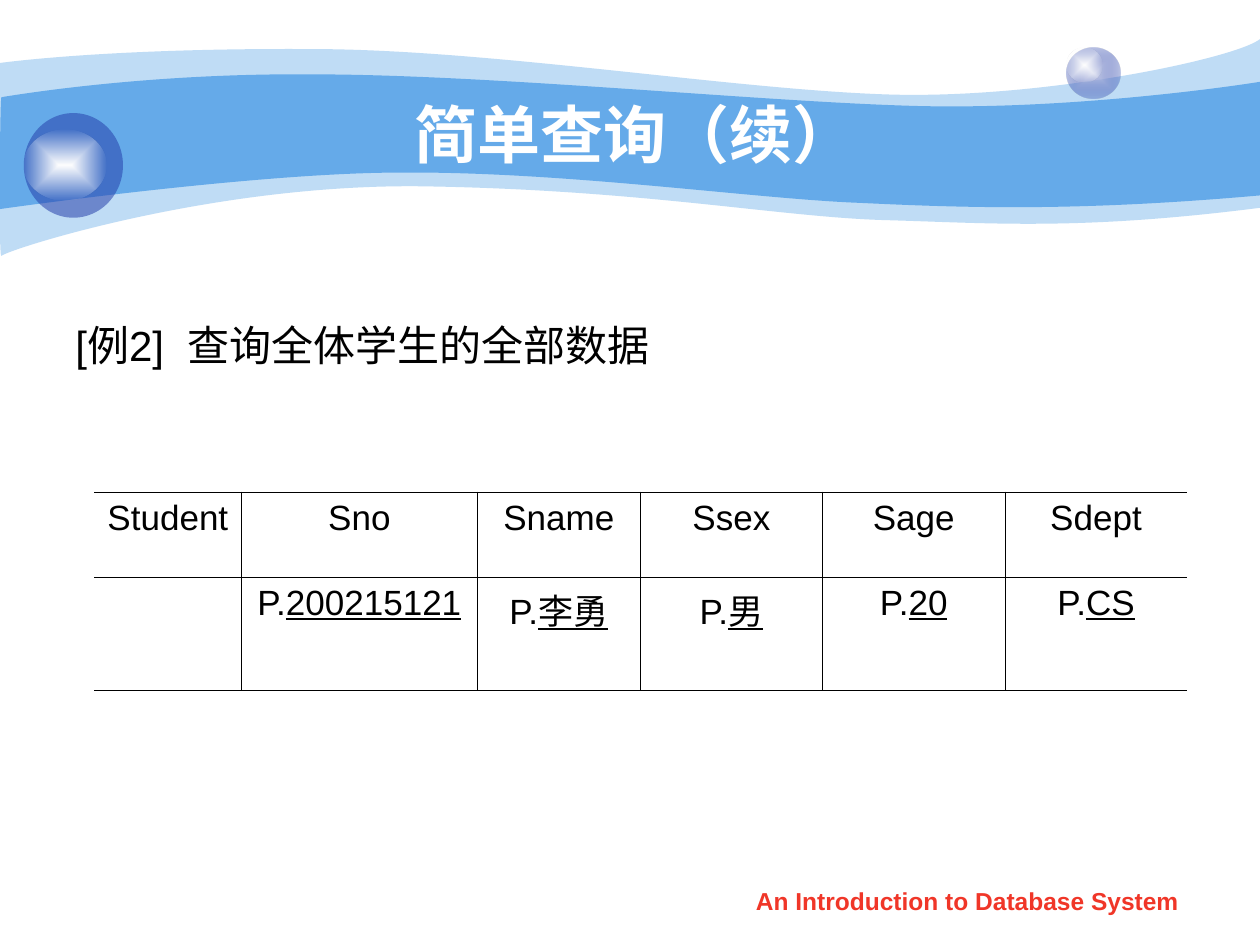
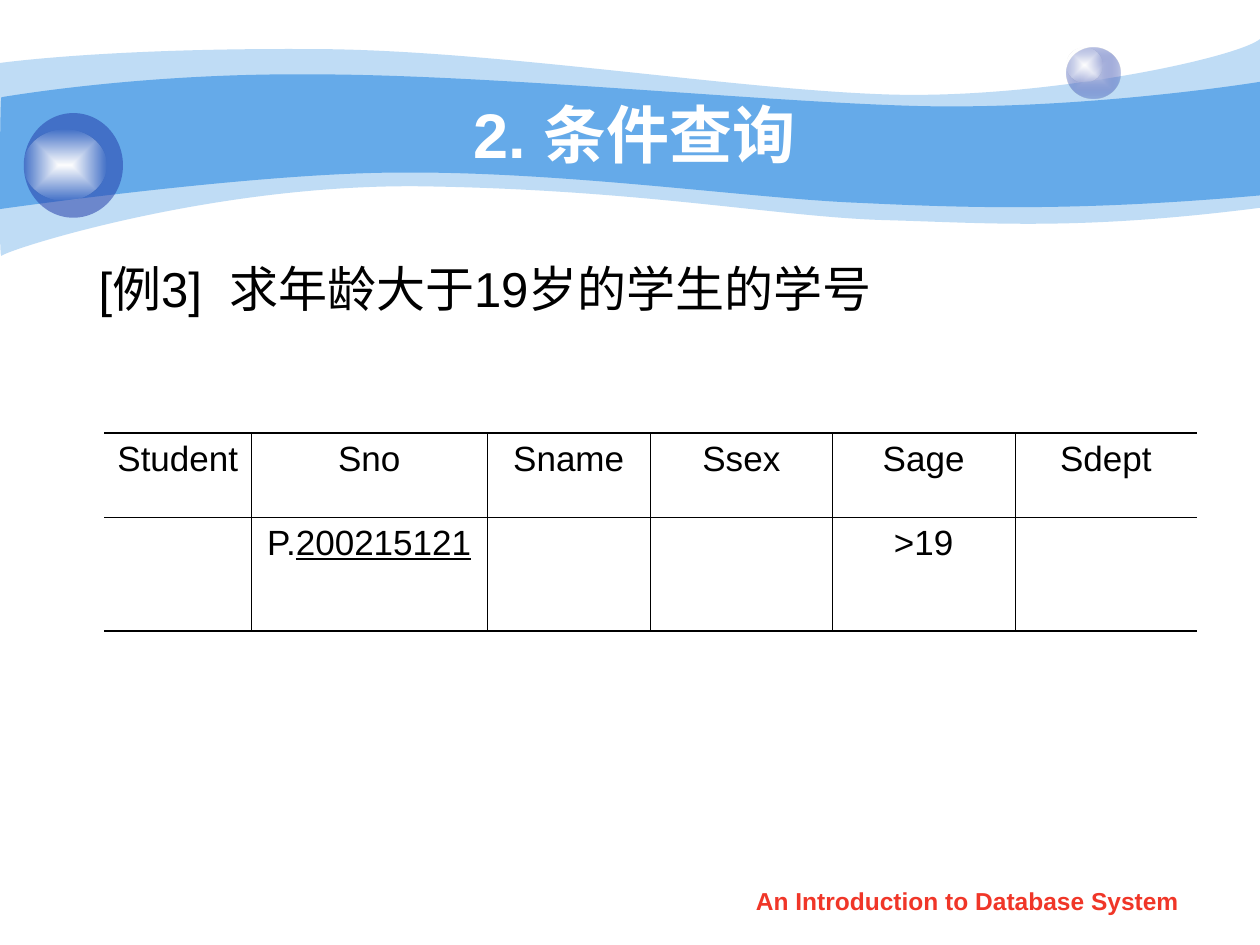
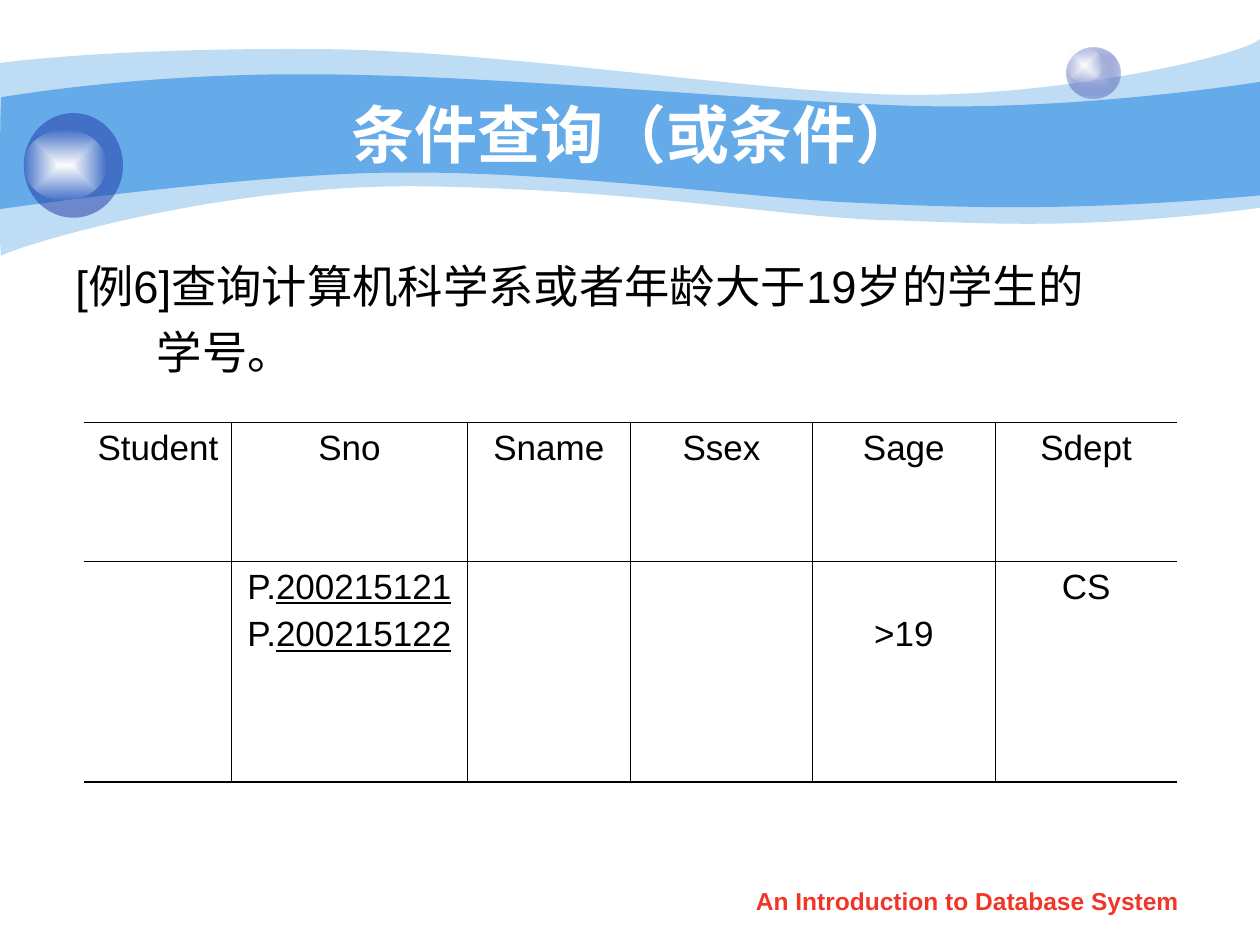
from dataclasses import dataclass

import lxml.etree
import pptx
import pptx.dml.color
import pptx.enum.shapes
import pptx.enum.text
import pptx.oxml.ns
import pptx.util

Cm = pptx.util.Cm
Pt = pptx.util.Pt
RGBColor = pptx.dml.color.RGBColor
Align = pptx.enum.text.PP_ALIGN
qn = pptx.oxml.ns.qn

WHITE = RGBColor(0xFF, 0xFF, 0xFF)
NEAR_WHITE = RGBColor(0xFE, 0xFE, 0xFE)
BLACK = RGBColor(0, 0, 0)
SKY = RGBColor(0x65, 0xAA, 0xE9)
NAVY = RGBColor(0x23, 0x3D, 0xA9)
LILAC = RGBColor(0xC6, 0xCC, 0xE8)
RED = RGBColor(0xF0, 0x36, 0x28)

FONT = "Arial"
FOOTER = "An Introduction to Database System"
THIN, THICK = Pt(0.45), Pt(1.08)
SPACE_WIDTH = 0.28
COLUMNS = {"Student": 2.97, "Sno": 4.75, "Sname": 3.29,
           "Ssex": 3.67, "Sage": 3.68, "Sdept": 3.67}

Point = tuple[float, float]
Box = tuple[float, float, float, float]


@dataclass
class Stop:
    color: RGBColor
    alpha: int = 100


@dataclass
class Wave:
    stop: Stop
    start: Point
    segments: list[list[Point]]


@dataclass
class Ball:
    box: Box
    stops: list[Stop]


@dataclass
class Line:
    text: str
    label: str = ""
    indent: float = 0


@dataclass
class Entry:
    plain: str
    example: str = ""


@dataclass
class Cell:
    entries: list[Entry]
    top: float = 0.13


@dataclass
class Page:
    title: str
    lines: list[Line]
    size: float
    body: Box
    table_at: Point
    heights: tuple[float, float]
    answers: dict[str, Cell]
    inset_left: float = 0.25
    inset_top: float = 0.13


GLOSS = [Stop(WHITE), Stop(NEAR_WHITE, 0)]
WAVES = [
    Wave(Stop(SKY, 41), (0, 1.27), [
        [(0.61, 1.19), (2.72, 0.97), (6.27, 0.99)],
        [(9.8, 0.99), (14.6, 1.78), (17.75, 1.9)],
        [(20.88, 2.03), (24.89, 1.19), (25.4, 0.79)],
        [(25.4, 4.19)],
        [(21.79, 4.65), (19.99, 4.5), (17.91, 4.44)],
        [(15.8, 4.39), (13.08, 3.84), (8.71, 3.76)],
        [(4.37, 3.66), (0.1, 5.05), (0.03, 5.16)],
        [(-0.03, 5.28), (0, 1.9), (0, 1.27)]]),
    Wave(Stop(SKY), (0.03, 1.96), [
        [(0.05, 1.96), (2.79, 1.47), (6.3, 1.5)],
        [(9.8, 1.5), (15.11, 2.03), (18.24, 2.13)],
        [(21.36, 2.24), (24.79, 1.75), (25.4, 1.65)],
        [(25.4, 3.94)],
        [(21.67, 4.27), (19.43, 4.19), (17.32, 4.09)],
        [(15.21, 4.01), (11.35, 3.45), (8.05, 3.48)],
        [(5.16, 3.48), (-0.05, 4.22), (-0.03, 4.22)],
        [(0, 4.22), (0, 1.96), (0.03, 1.96)]]),
]
BALLS = [
    Ball((21.51, 0.97, 1.07, 1.02), [Stop(LILAC), Stop(NAVY, 31)]),
    Ball((21.51, 0.97, 0.71, 0.69), GLOSS),
    Ball((0.48, 2.28, 2, 2.11), [Stop(NAVY, 53)]),
    Ball((0.48, 2.62, 1.67, 1.42), GLOSS),
]
PAGES = [
    Page("简单查询（续）", [Line("查询全体学生的全部数据", label="[例2]")], 24,
         (1.27, 5.08, 20.42, 4.04), (1.9, 9.93), (1.7, 2.29),
         {"Sno": Cell([Entry("P.", "200215121")]),
          "Sname": Cell([Entry("P.", "李勇")]),
          "Ssex": Cell([Entry("P.", "男")]),
          "Sage": Cell([Entry("P.", "20")]),
          "Sdept": Cell([Entry("P.", "CS")])},
         inset_top=1.36),
    Page("2. 条件查询", [Line("求年龄大于19岁的学生的学号", label="[例3]")], 28,
         (1.27, 5.08, 22.02, 3.45), (2.1, 8.73), (1.7, 2.29),
         {"Sno": Cell([Entry("P.", "200215121")]),
          "Sage": Cell([Entry(">19")])},
         inset_left=0.72),
    Page("条件查询（或条件）",
         [Line("[例6]查询计算机科学系或者年龄大于19岁的学生的"),
          Line("学号。", indent=1.64)], 25.9,
         (1.27, 5.08, 22.83, 3.45), (1.7, 8.52), (2.79, 4.45),
         {"Sno": Cell([Entry("P.", "200215121"), Entry("P.", "200215122")]),
          "Sage": Cell([Entry(">19")], top=1.09),
          "Sdept": Cell([Entry("CS")])}),
]


def add_run(p, text: str, size: float, color: RGBColor, bold: bool = False,
            underline: bool = False):
    r = p.add_run()
    r.text = text
    r.font.name = FONT
    r.font.size = Pt(size)
    r.font.color.rgb = color
    r.font.bold = bold
    r.font.underline = underline
    return r


def add_color(parent, stop: Stop) -> None:
    clr = lxml.etree.SubElement(parent, qn("a:srgbClr"), val=str(stop.color))
    if stop.alpha < 100:
        lxml.etree.SubElement(clr, qn("a:alpha"), val=str(stop.alpha * 1000))


def paint(sp, stops: list[Stop]) -> None:
    sp.shadow.inherit = False
    sp.line.fill.background()
    sp.fill.background()
    old = sp.element.spPr.find(qn("a:noFill"))
    if len(stops) == 1:
        fill = lxml.etree.Element(qn("a:solidFill"))
        add_color(fill, stops[0])
    else:
        fill = lxml.etree.Element(qn("a:gradFill"), rotWithShape="1")
        gs_list = lxml.etree.SubElement(fill, qn("a:gsLst"))
        for i, stop in enumerate(stops):
            add_color(lxml.etree.SubElement(gs_list, qn("a:gs"), pos=str(i * 100000)), stop)
        shade = lxml.etree.SubElement(fill, qn("a:path"), attrib={"path": "rect"})
        lxml.etree.SubElement(shade, qn("a:fillToRect"), l="50000", t="50000",
                              r="50000", b="50000")
    old.getparent().replace(old, fill)


def add_wave(slide, wave: Wave) -> None:
    builder = slide.shapes.build_freeform(Cm(wave.start[0]), Cm(wave.start[1]))
    points = [(Cm(x), Cm(y)) for segment in wave.segments for x, y in segment]
    builder.add_line_segments(points, close=True)
    sp = builder.convert_to_shape()
    lines = iter(list(sp.element.iter(qn("a:lnTo"))))
    for segment in wave.segments:
        steps = [next(lines) for _ in segment]
        if len(steps) == 3:
            curve = lxml.etree.Element(qn("a:cubicBezTo"))
            steps[0].addprevious(curve)
            for step in steps:
                curve.append(step[0])
                step.getparent().remove(step)
    paint(sp, [wave.stop])


def add_ball(slide, ball: Ball) -> None:
    sp = slide.shapes.add_shape(pptx.enum.shapes.MSO_SHAPE.OVAL, *map(Cm, ball.box))
    paint(sp, ball.stops)


def place(sp, box: Box) -> None:
    sp.left, sp.top, sp.width, sp.height = map(Cm, box)
    sp.element.getparent().append(sp.element)
    sp.text_frame.auto_size = pptx.enum.text.MSO_AUTO_SIZE.NONE


def set_title(sp, text: str) -> None:
    place(sp, (2.54, 1.9, 20.52, 1.57))
    tf = sp.text_frame
    tf.vertical_anchor = pptx.enum.text.MSO_ANCHOR.MIDDLE
    p = tf.paragraphs[0]
    p.alignment = Align.CENTER
    add_run(p, text, 36, WHITE, bold=True)


def set_body(sp, page: Page) -> None:
    place(sp, page.body)
    tf = sp.text_frame
    tf.margin_left, tf.margin_top = Cm(page.inset_left), Cm(page.inset_top)
    for i, line in enumerate(page.lines):
        p = tf.add_paragraph() if i else tf.paragraphs[0]
        pPr = p._p.get_or_add_pPr()
        pPr.set("marL", str(Cm(line.indent)))
        pPr.set("indent", "0")
        lxml.etree.SubElement(pPr, qn("a:buNone"))
        p.alignment = Align.JUSTIFY
        p.line_spacing = 1.0
        p.space_before = Pt(6.5 if i else 0)
        if line.label:
            add_run(p, line.label, page.size, BLACK)
            gap = add_run(p, " ", page.size, BLACK)
            gap.font._element.set("spc", str(round(page.size * SPACE_WIDTH * 100)))
        add_run(p, line.text, page.size, BLACK)


def set_borders(cell, widths: dict[str, int]) -> None:
    tcPr = cell._tc.get_or_add_tcPr()
    for i, (side, width) in enumerate(widths.items()):
        ln = lxml.etree.Element(qn(f"a:ln{side}"), w=str(width))
        if width:
            add_color(lxml.etree.SubElement(ln, qn("a:solidFill")), Stop(BLACK))
        else:
            lxml.etree.SubElement(ln, qn("a:noFill"))
        tcPr.insert(i, ln)


def fill_cell(cell, content: Cell) -> None:
    cell.margin_top = Cm(content.top)
    tf = cell.text_frame
    for i, entry in enumerate(content.entries):
        p = tf.add_paragraph() if i else tf.paragraphs[0]
        p.alignment = Align.CENTER
        p.space_before = Pt(5 if i else 0)
        add_run(p, entry.plain, 20, BLACK)
        if entry.example:
            add_run(p, entry.example, 20, BLACK, underline=True)


def add_query_table(slide, page: Page) -> None:
    left, top = page.table_at
    table = slide.shapes.add_table(2, len(COLUMNS), Cm(left), Cm(top),
                                   Cm(sum(COLUMNS.values())), Cm(sum(page.heights))).table
    table.first_row = table.horz_banding = False
    for row, height in zip(table.rows, page.heights):
        row.height = Cm(height)
    last = len(COLUMNS) - 1
    for c, (name, width) in enumerate(COLUMNS.items()):
        table.columns[c].width = Cm(width)
        for r, content in enumerate((Cell([Entry(name)]), page.answers.get(name))):
            cell = table.cell(r, c)
            cell.fill.background()
            set_borders(cell, {"L": THIN if c else 0, "R": THIN if c < last else 0,
                               "T": THIN if r else THICK, "B": THICK if r else THIN})
            if content:
                fill_cell(cell, content)


def add_footer(slide) -> None:
    tf = slide.shapes.add_textbox(Cm(14.5), Cm(17.73), Cm(10.01), Cm(0.89)).text_frame
    tf.word_wrap = True
    p = tf.paragraphs[0]
    p.alignment = Align.CENTER
    add_run(p, FOOTER, 14, RED, bold=True)


def add_page(prs, page: Page) -> None:
    slide = prs.slides.add_slide(prs.slide_layouts[1])
    for wave in WAVES:
        add_wave(slide, wave)
    for ball in BALLS:
        add_ball(slide, ball)
    set_title(slide.shapes.title, page.title)
    set_body(slide.placeholders[1], page)
    add_query_table(slide, page)
    add_footer(slide)


def main() -> None:
    prs = pptx.Presentation()
    prs.slide_width, prs.slide_height = Cm(25.4), Cm(19.05)
    for page in PAGES:
        add_page(prs, page)
    prs.save("out.pptx")


if __name__ == "__main__":
    main()
